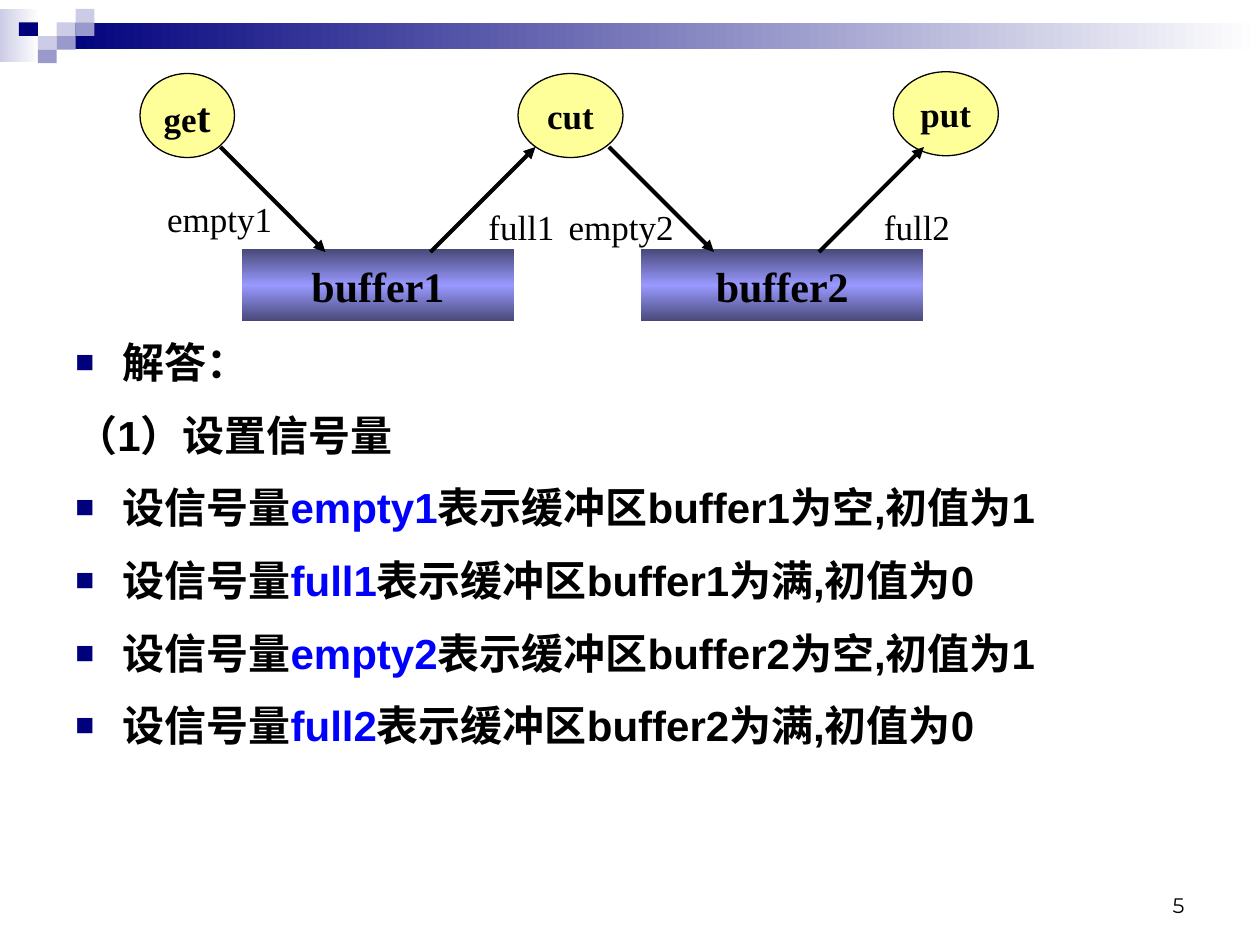
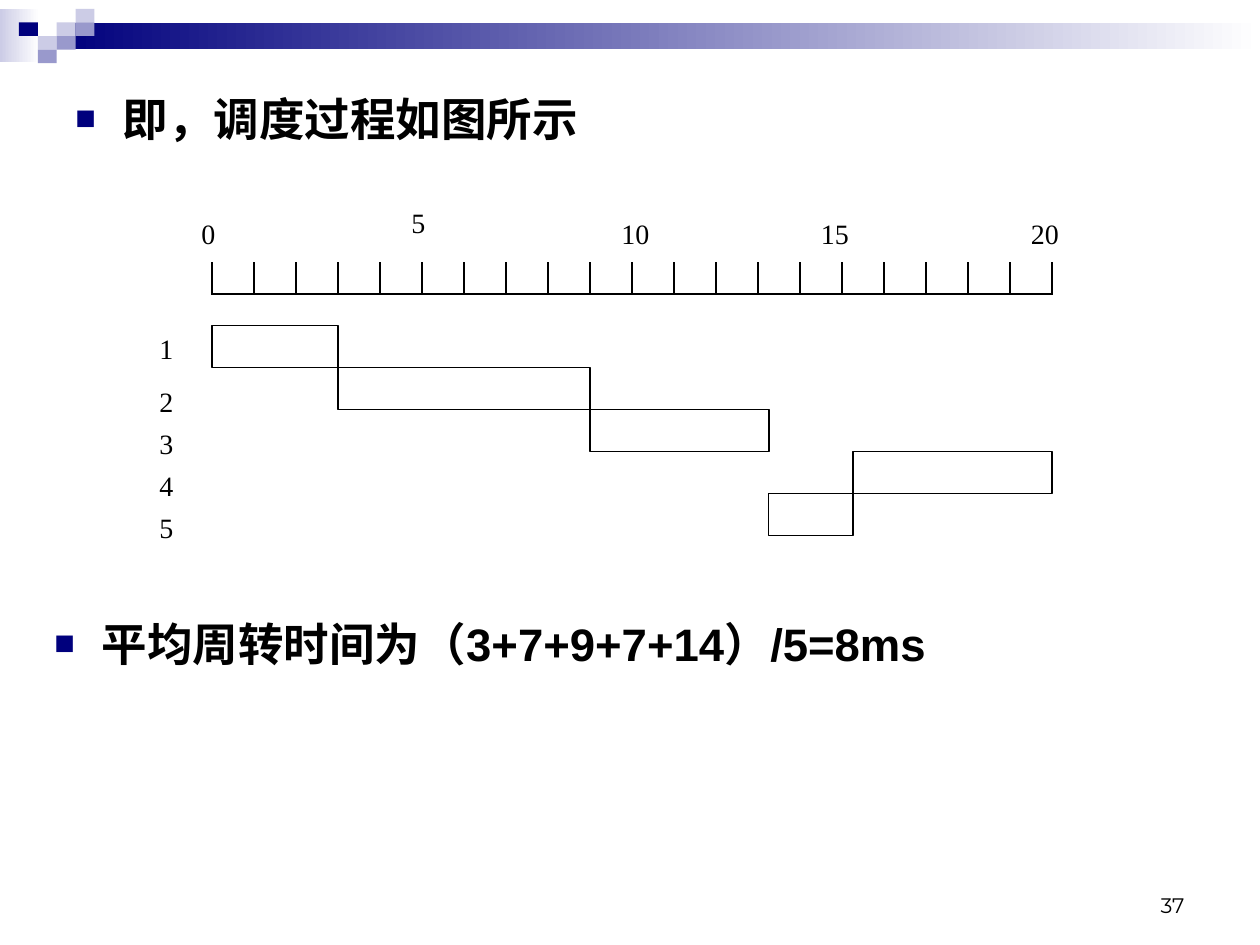
from lxml import etree
from pptx import Presentation
from pptx import util as u
from pptx.dml import color
from pptx.enum import shapes, text
from pptx.oxml import ns

NAVY, MID, PALE = "00007D", "9999CC", "CCCCE6"
WHITE, BLACK, BLUE = "FFFFFF", "000000", "0000FF"
YELLOW, DARK, LILAC = "FFFF99", "474776", "9999FF"
SERIF, SANS, NUM = "Times New Roman", "Arial", "Montserrat"
RECT, OVAL = shapes.MSO_SHAPE.RECTANGLE, shapes.MSO_SHAPE.OVAL
LEFT, MID_X, RIGHT = text.PP_ALIGN.LEFT, text.PP_ALIGN.CENTER, text.PP_ALIGN.RIGHT
TOP, MID_Y, LOW = text.MSO_ANCHOR.TOP, text.MSO_ANCHOR.MIDDLE, text.MSO_ANCHOR.BOTTOM


def rgb(code):
    return color.RGBColor.from_string(code)


def points(*nums):
    return [u.Pt(n) for n in nums]


def node(parent, tag, **attrs):
    return etree.SubElement(parent, ns.qn("a:" + tag), attrs)


def blend(shape, codes, angle):
    shape.fill.gradient()
    shape.fill.gradient_angle = angle
    stops = shape._element.spPr.find(".//" + ns.qn("a:gsLst"))
    for stop in list(stops):
        stops.remove(stop)
    for i, code in enumerate(codes):
        stop = node(stops, "gs", pos=str(100000 * i // (len(codes) - 1)))
        node(stop, "srgbClr", val=code)


def draw(slide, kind, box, fill=None, line=None, width=0.75, angle=0):
    shape = slide.shapes.add_shape(kind, *points(*box))
    shape.shadow.inherit = False
    if isinstance(fill, tuple):
        blend(shape, fill, angle)
    elif fill:
        shape.fill.solid()
        shape.fill.fore_color.rgb = rgb(fill)
    else:
        shape.fill.background()
    if line:
        shape.line.color.rgb = rgb(line)
        shape.line.width = u.Pt(width)
    else:
        shape.line.fill.background()
    return shape


def link(slide, start, end, width=1, arrow=False):
    line = slide.shapes.add_connector(
        shapes.MSO_CONNECTOR.STRAIGHT, *points(*start, *end))
    line.line.color.rgb = rgb(BLACK)
    line.line.width = u.Pt(width)
    if arrow:
        node(line.line._get_or_add_ln(), "tailEnd", type="triangle")
    node(line._element.spPr, "effectLst")


def indent(para, mark):
    props = para._p.get_or_add_pPr()
    props.set("marL", str(u.Pt(27)))
    props.set("indent", str(-u.Pt(27)))
    if mark:
        node(node(props, "buClr"), "srgbClr", val=NAVY)
        node(props, "buSzPct", val="75000")
        node(props, "buFont", typeface=SANS)
        node(props, "buChar", char="■")


def write(shape, runs, first=True, font=SERIF, size=20, bold=False,
          align=LEFT, anchor=TOP, wrap=False):
    frame = shape.text_frame
    frame.word_wrap = wrap
    frame.vertical_anchor = anchor
    para = frame.paragraphs[0] if first else frame.add_paragraph()
    para.alignment = align
    for words, code, *own in runs:
        run = para.add_run()
        run.text = words
        run.font.name = font
        run.font.size = u.Pt(own[0] if own else size)
        run.font.bold = bold
        run.font.color.rgb = rgb(code)
    return para


def label(slide, box, words, **form):
    area = slide.shapes.add_textbox(*points(*box))
    write(area, [(words, BLACK)], wrap=True, **form)


def bullets(slide, box, items, size, space):
    area = slide.shapes.add_textbox(*points(*box))
    for i, (mark, runs) in enumerate(items):
        para = write(area, runs, first=i == 0, font=SANS, size=size,
                     bold=True, wrap=True)
        indent(para, mark)
        para.line_spacing = space
        para.space_after = u.Pt(4.9)
        if i:
            para.space_before = u.Pt(4.9)


def new_slide(deck, number):
    slide = deck.slides.add_slide(deck.slide_layouts[6])
    draw(slide, RECT, (0, 5.1, 22.4, 30.4), (PALE, WHITE))
    draw(slide, RECT, (33, 13, 687, 15.2), (NAVY, WHITE))
    tiles = [(3, 1, PALE), (4, 0, PALE), (4, 1, MID), (2, 2, PALE),
             (1, 1, NAVY), (3, 2, MID), (2, 3, MID)]
    for col, row, fill in tiles:
        draw(slide, RECT, (10.8 * col, 5.1 + 7.75 * row, 10.8, 7.75), fill)
    label(slide, (516, 492, 168, 36), number, font=NUM, size=12,
          align=RIGHT, anchor=LOW)
    return slide


def flow(slide):
    for name, left, width in [("buffer1", 138, 156), ("buffer2", 366, 162)]:
        buffer = draw(slide, RECT, (left, 142, width, 42),
                      (DARK, LILAC, DARK), WHITE, angle=90)
        write(buffer, [(name, BLACK)], size=24, bold=True,
              align=MID_X, anchor=MID_Y)
    tasks = [([("ge", BLACK), ("t", BLACK, 24)], 80, 42, 54),
             ([("cut", BLACK)], 296, 42, 60),
             ([("put", BLACK)], 510.5, 41, 60)]
    for runs, left, top, width in tasks:
        task = draw(slide, OVAL, (left, top, width, 48), YELLOW, BLACK)
        write(task, runs, bold=True, align=MID_X, anchor=MID_Y)
    for left, rise in [(126, 0), (246, 1), (348, 0), (468, 1)]:
        ends = (84, 144)
        link(slide, (left, ends[rise]), (left + 60, ends[1 - rise]), 2.25, True)
    flags = [("empty1", 125.5, 109.5), ("empty2", 355, 114),
             ("full1", 298, 114), ("full2", 524, 114)]
    for name, mid, top in flags:
        label(slide, (mid - 42, top, 84, 31.5), name, align=MID_X)


def answer(slide):
    items = [(True, [("解答：", BLACK)]), (False, [("（1）设置信号量", BLACK)])]
    for n in (1, 2):
        for flag, state, value in [("empty", "空", 1), ("full", "满", 0)]:
            tail = f"表示缓冲区buffer{n}为{state},初值为{value}"
            items.append((True, [("设信号量", BLACK), (f"{flag}{n}", BLUE),
                                 (tail, BLACK)]))
    bullets(slide, (36, 186, 648, 312), items, 24, 1.1)


def chart(slide):
    zero, unit, base = 121, 24, 168
    link(slide, (zero, base), (zero + 20 * unit, base))
    for tick in range(21):
        x = zero + tick * unit
        link(slide, (x, base + 0.5), (x, 150))
    marks = [(0, 108, 120), (5, 228, 114), (10, 348, 120),
             (15, 462, 120), (20, 582, 120)]
    for time, left, top in marks:
        label(slide, (left, top, 40, 26), str(time), size=16)
    jobs = [(0, 3, 186), (3, 9, 216), (9, 13.26, 240),
            (15.27, 20, 264), (13.26, 15.27, 288)]
    for row, (start, end, top) in enumerate(jobs):
        box = (zero + start * unit, 186 + row * unit, (end - start) * unit, unit)
        draw(slide, RECT, box, line=BLACK, width=1)
        label(slide, (84, top, 30, 26), str(row + 1), size=16)


def main():
    deck = Presentation()
    deck.slide_width, deck.slide_height = points(720, 540)
    slide = new_slide(deck, "5")
    answer(slide)
    flow(slide)
    slide = new_slide(deck, "37")
    bullets(slide, (36, 42, 648, 48),
            [(True, [("即，调度过程如图所示", BLACK)])], 26, 1.2)
    chart(slide)
    bullets(slide, (24, 342, 648, 48),
            [(True, [("平均周转时间为（3+7+9+7+14）/5=8ms", BLACK)])], 26, 1.2)
    deck.save("out.pptx")


if __name__ == "__main__":
    main()
